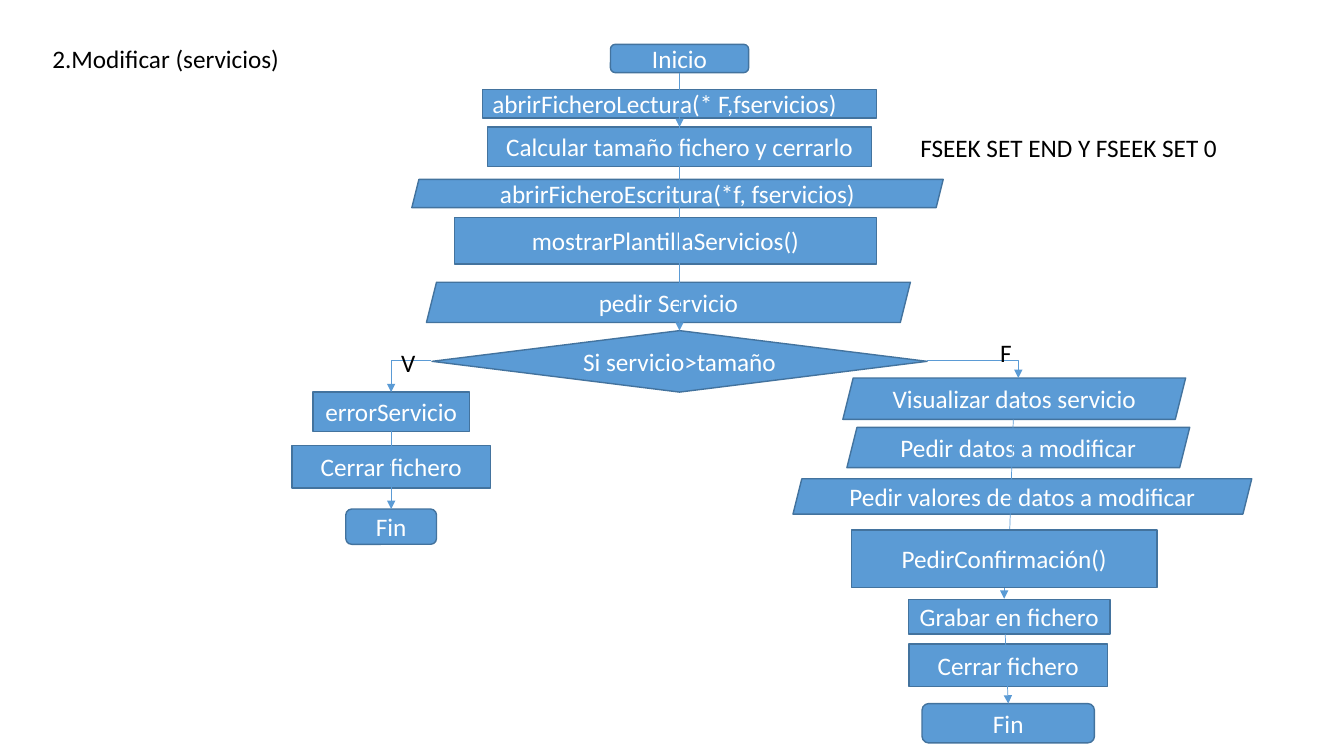
"""Build the flowchart slide for modifying services."""
import pptx
import pptx.dml.color
import pptx.enum.shapes
import pptx.enum.text
import pptx.oxml
import pptx.oxml.ns
import pptx.util

Inches = pptx.util.Inches
Pt = pptx.util.Pt
Shape = pptx.enum.shapes.MSO_SHAPE
Connector = pptx.enum.shapes.MSO_CONNECTOR
Align = pptx.enum.text.PP_ALIGN

FILL, BORDER, WHITE, BLACK = "5B9BD5", "43739E", "FFFFFF", "000000"
TERMINAL, PROCESS = Shape.ROUNDED_RECTANGLE, Shape.RECTANGLE
DATA, DECISION = Shape.PARALLELOGRAM, Shape.DIAMOND
MAIN, ERROR = 6.74, 3.88

# Each step: text, kind, centre x, top, width, height
STEPS = [
    ("Inicio", TERMINAL, MAIN, 0.44, 1.37, 0.28),
    ("abrirFicheroLectura(* F,fservicios)", PROCESS, MAIN, 0.89, 3.91, 0.28),
    ("Calcular tamaño fichero y cerrarlo", PROCESS, MAIN, 1.26, 3.81, 0.39),
    ("abrirFicheroEscritura(*f, fservicios)", DATA, 6.72, 1.78, 5.27, 0.28),
    ("mostrarPlantillaServicios()", PROCESS, 6.6, 2.16, 4.19, 0.46),
    ("pedir Servicio", DATA, 6.63, 2.8, 4.8, 0.4),
    ("Si servicio>tamaño", DECISION, MAIN, 3.28, 4.91, 0.61),
    ("errorServicio", PROCESS, ERROR, 3.89, 1.55, 0.39),
    ("Cerrar fichero", PROCESS, ERROR, 4.42, 1.97, 0.42),
    ("Fin", TERMINAL, ERROR, 5.05, 0.9, 0.35),
    ("Visualizar datos servicio", DATA, 10.06, 3.75, 3.4, 0.41),
    ("Pedir datos a modificar", DATA, 10.1, 4.24, 3.4, 0.4),
    ("Pedir valores de datos a modificar", DATA, 10.14, 4.75, 4.55, 0.35),
    ("Grabar en fichero", PROCESS, 10.01, 5.95, 2, 0.34),
    ("Cerrar fichero", PROCESS, 10, 6.39, 1.97, 0.42),
    ("Fin", TERMINAL, 10, 6.98, 1.71, 0.39),
]
CONFIRMATION = ("PedirConfirmación()", PROCESS, 9.96, 5.26, 3.03, 0.57)
LEFT_ALIGNED = "abrirFicheroLectura(* F,fservicios)"

STRAIGHT_ARROWS = [
    (MAIN, 1.13, MAIN, 1.26),
    (MAIN, 0.72, MAIN, 3.28),
    (10.05, 4.16, 10, 5.72),
    (9.96, 5.73, 9.96, 5.94),
    (9.97, 6.29, 10, 6.98),
    (ERROR, 4.28, ERROR, 5.05),
]
BRANCH_ARROWS = [(9.19, 3.58, 10.1, 3.75), (4.28, 3.58, ERROR, 3.89)]

LABELS = [
    ("2.Modificar (servicios)", 0.42, 0.38, 2.48),
    ("V", 3.88, 3.4, 0.35),
    ("F", 9.82, 3.3, 0.32),
    ("FSEEK SET END Y FSEEK SET 0", 9.03, 1.26, 3.17),
]


def color(value):
    return pptx.dml.color.RGBColor.from_string(value)


def write(frame, text, ink, align):
    para = frame.paragraphs[0]
    para.alignment = align
    span = para.add_run()
    span.text = text
    span.font.size = Pt(18)
    span.font.name = "Calibri"
    span.font.color.rgb = color(ink)


def add_step(page, text, kind, centre, top, width, height):
    left = centre - width / 2
    box = page.shapes.add_shape(kind, Inches(left), Inches(top), Inches(width), Inches(height))
    box.shadow.inherit = False
    box.fill.solid()
    box.fill.fore_color.rgb = color(FILL)
    box.line.color.rgb = color(BORDER)
    box.line.width = Pt(1)
    box.text_frame.vertical_anchor = pptx.enum.text.MSO_ANCHOR.MIDDLE
    write(box.text_frame, text, WHITE, Align.LEFT if text == LEFT_ALIGNED else Align.CENTER)


def add_arrow(page, kind, points):
    arrow = page.shapes.add_connector(kind, *[Inches(value) for value in points])
    arrow.line.color.rgb = color(FILL)
    arrow.line.width = Pt(0.5)
    properties = arrow._element.spPr
    head = pptx.oxml.parse_xml(
        f'<a:tailEnd {pptx.oxml.ns.nsdecls("a")} type="triangle"/>')
    properties.find(pptx.oxml.ns.qn("a:ln")).append(head)
    properties.append(pptx.oxml.parse_xml(f'<a:effectLst {pptx.oxml.ns.nsdecls("a")}/>'))
    if kind == Connector.ELBOW:
        properties.find(pptx.oxml.ns.qn("a:prstGeom")).set("prst", "bentConnector2")


def add_label(page, text, left, top, width):
    box = page.shapes.add_textbox(Inches(left), Inches(top), Inches(width), Inches(0.4))
    box.text_frame.word_wrap = False
    box.text_frame.auto_size = pptx.enum.text.MSO_AUTO_SIZE.SHAPE_TO_FIT_TEXT
    write(box.text_frame, text, BLACK, Align.LEFT)


def main():
    deck = pptx.Presentation()
    deck.slide_width, deck.slide_height = Inches(13.33), Inches(7.5)
    page = deck.slides.add_slide(deck.slide_layouts[6])
    for step in STEPS:
        add_step(page, *step)
    for points in STRAIGHT_ARROWS:
        add_arrow(page, Connector.STRAIGHT, points)
    for points in BRANCH_ARROWS:
        add_arrow(page, Connector.ELBOW, points)
    add_step(page, *CONFIRMATION)
    for label in LABELS:
        add_label(page, *label)
    deck.save("out.pptx")


if __name__ == "__main__":
    main()
